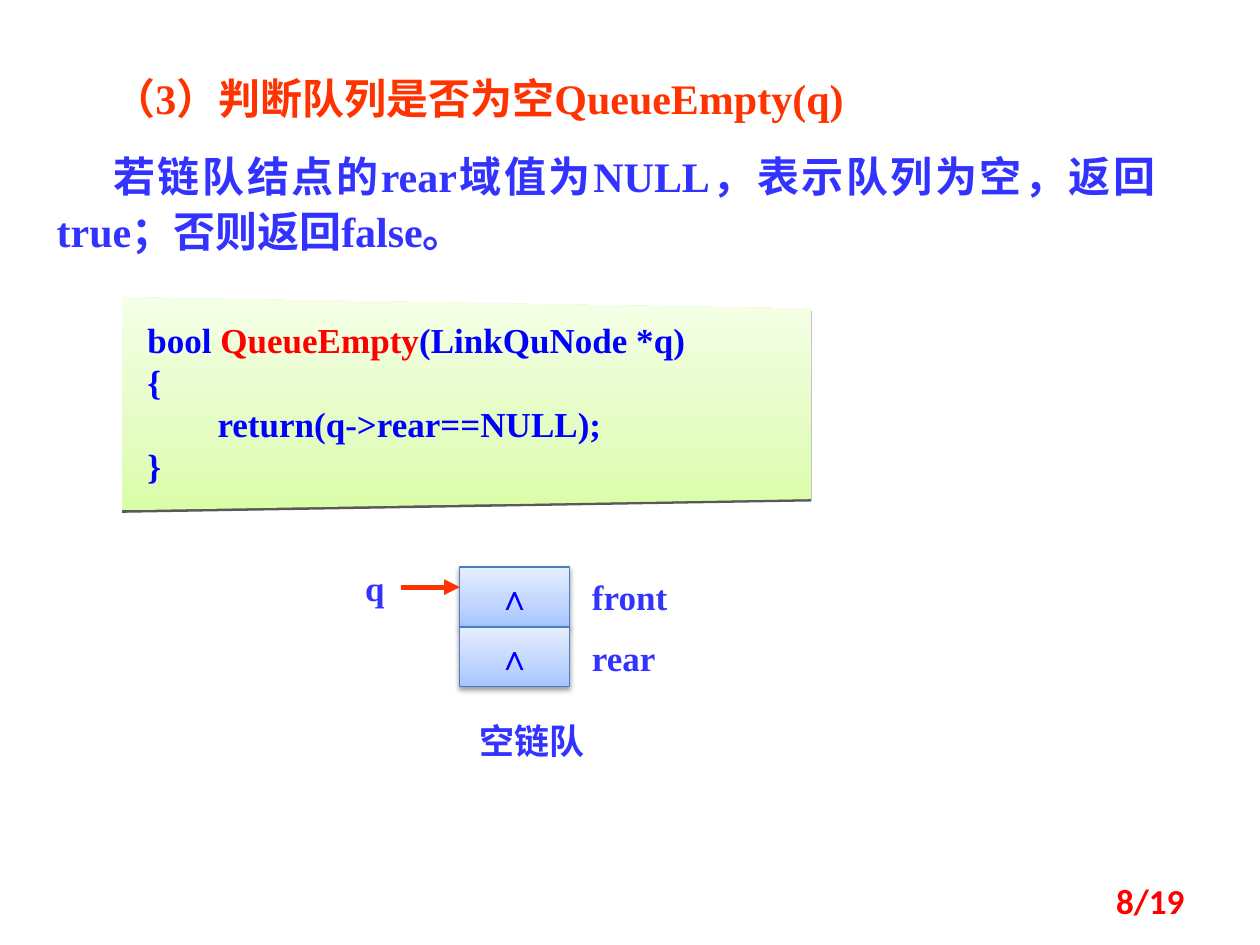
from copy import deepcopy

from lxml import etree
from pptx import Presentation
from pptx import util as u
from pptx.dml.color import RGBColor
from pptx.enum import shapes, text
from pptx.oxml.ns import qn

W, H = 10, 7.5
RED, ORANGE, BLUE, CODE = "FF0000", "FF3300", "3333FF", "0000FF"
SERIF, SANS, CJK = "Times New Roman", "Calibri", "Noto Sans CJK SC"
AL = text.PP_ALIGN

HEADING = ["（3）判断队列是否为空QueueEmpty(q)",
           "若链队结点的rear域值为NULL，表示队列为空，返回true；否则返回false。"]
SOURCE = [[("bool ", CODE), ("QueueEmpty", RED), ("(LinkQuNode *q)", CODE)],
          "{", "\u3000\u3000return(q->rear==NULL);".replace("\u3000", "　"), "}"]
PANEL = [(0.97, 2.36), (6.44, 2.45), (6.44, 3.96), (0.97, 4.05)]
PANEL_STOPS = [(0, "DAFDA7"), (0.35, "E4FCC2"), (1, "F5FFE7")]
CELL_STOPS = [(0, "A4C4FF"), (0.35, "BFD4FF"), (1, "E6EEFF")]
CELLS = ["∧", "∧"]
CELL_X, CELL_Y, CELL_W, CELL_H = 3.65, 4.5, 0.87, 0.475
LABELS = [
    (["空链队"], (3.44, 5.66, 1.57, 0.43), dict(font=CJK, align=AL.CENTER)),
    (["q"], (2.74, 4.45, 0.47, 0.43), dict(align=AL.CENTER)),
    (["front", "rear"], (4.6, 4.52, 1.5, 0.93), dict(gap=11)),
    (["8/19"], (7.17, 6.95, 2.33, 0.4),
     dict(font=SANS, color=RED, align=AL.RIGHT, anchor=text.MSO_ANCHOR.MIDDLE)),
]


def rgb(value):
    return RGBColor.from_string(value)


def box(*lengths):
    return [u.Inches(n) for n in lengths]


def write(sp, lines, size=20, font=SERIF, color=BLUE, align=AL.LEFT, gap=0,
          anchor=text.MSO_ANCHOR.TOP, wrap=True, inset=(0.1, 0.05)):
    tf = sp.text_frame
    tf.word_wrap, tf.vertical_anchor = wrap, anchor
    tf.auto_size = text.MSO_AUTO_SIZE.NONE
    tf.margin_left = tf.margin_right = u.Inches(inset[0])
    tf.margin_top, tf.margin_bottom = u.Inches(inset[1]), u.Inches(0.05)
    for i, line in enumerate(lines):
        p = tf.add_paragraph() if i else tf.paragraphs[0]
        p.alignment, p.space_before = align, u.Pt(gap if i else 0)
        for words, shade in [(line, color)] if isinstance(line, str) else line:
            r = p.add_run()
            r.text = words
            r.font.size, r.font.name, r.font.bold = u.Pt(size), font, True
            r.font.color.rgb = rgb(shade)
            if font == CJK:
                etree.SubElement(r.font._element, qn("a:ea"), typeface=font)
    return tf


def gradient(sp, stops):
    sp.fill.gradient()
    sp.fill.gradient_angle = 90
    first = sp._element.spPr.find(".//" + qn("a:gs"))
    first.addnext(deepcopy(first))
    for stop, (position, color) in zip(sp.fill.gradient_stops, stops):
        stop.position, stop.color.rgb = position, rgb(color)


def drop_shadow(sp):
    sp.shadow.inherit = False
    effects = sp._element.spPr.find(qn("a:effectLst"))
    outer = etree.SubElement(effects, qn("a:outerShdw"), blurRad=str(u.Pt(3.1)),
                             dist=str(u.Pt(1.6)), dir="5400000", rotWithShape="0")
    color = etree.SubElement(outer, qn("a:srgbClr"), val="000000")
    etree.SubElement(color, qn("a:alpha"), val="38000")


def panel(slide, shift=0):
    points = [box(x, y + shift) for x, y in PANEL]
    builder = slide.shapes.build_freeform(*points[0])
    builder.add_line_segments(points[1:], close=True)
    sp = builder.convert_to_shape()
    sp.shadow.inherit = False
    sp.line.fill.background()
    return sp


def arrow(slide, start, end):
    sp = slide.shapes.add_connector(shapes.MSO_CONNECTOR.STRAIGHT, *box(*start, *end))
    sp.line.color.rgb, sp.line.width = rgb(ORANGE), u.Pt(3)
    etree.SubElement(sp.line._get_or_add_ln(), qn("a:tailEnd"), type="triangle")
    etree.SubElement(sp._element.spPr, qn("a:effectLst"))


def main():
    """Build the slide on testing whether a linked queue is empty."""
    prs = Presentation()
    prs.slide_width, prs.slide_height = box(W, H)
    s = prs.slides.add_slide(prs.slide_layouts[5])

    title = s.shapes.title
    title.left, title.top, title.width, title.height = box(0.35, 0.52, 8.92, 1.57)
    tf = write(title, [[(HEADING[0], ORANGE)], HEADING[1]], size=24,
               align=AL.JUSTIFY, gap=13, inset=(0.1, 0.13))
    for p, spacing in zip(tf.paragraphs, (0.8, 1.1)):
        p.line_spacing = spacing
        p._p.get_or_add_pPr().set("indent", str(u.Inches(0.45)))

    edge = panel(s, 0.02)
    edge.fill.solid()
    edge.fill.fore_color.rgb = rgb("595959")
    face = panel(s)
    gradient(face, PANEL_STOPS)
    write(face, SOURCE, color=CODE, inset=(0.2, 0.17))

    for i, mark in enumerate(CELLS):
        cell = s.shapes.add_shape(shapes.MSO_SHAPE.RECTANGLE, *box(
            CELL_X, CELL_Y + i * CELL_H, CELL_W, CELL_H))
        gradient(cell, CELL_STOPS)
        cell.line.color.rgb, cell.line.width = rgb("4B7EBC"), u.Pt(0.75)
        drop_shadow(cell)
        write(cell, [mark], color=CODE, align=AL.CENTER, wrap=False,
              anchor=text.MSO_ANCHOR.MIDDLE)

    arrow(s, (3.18, 4.66), (CELL_X, 4.66))
    for lines, place, style in LABELS:
        write(s.shapes.add_textbox(*box(*place)), lines, **style)
    prs.save("out.pptx")


if __name__ == "__main__":
    main()
